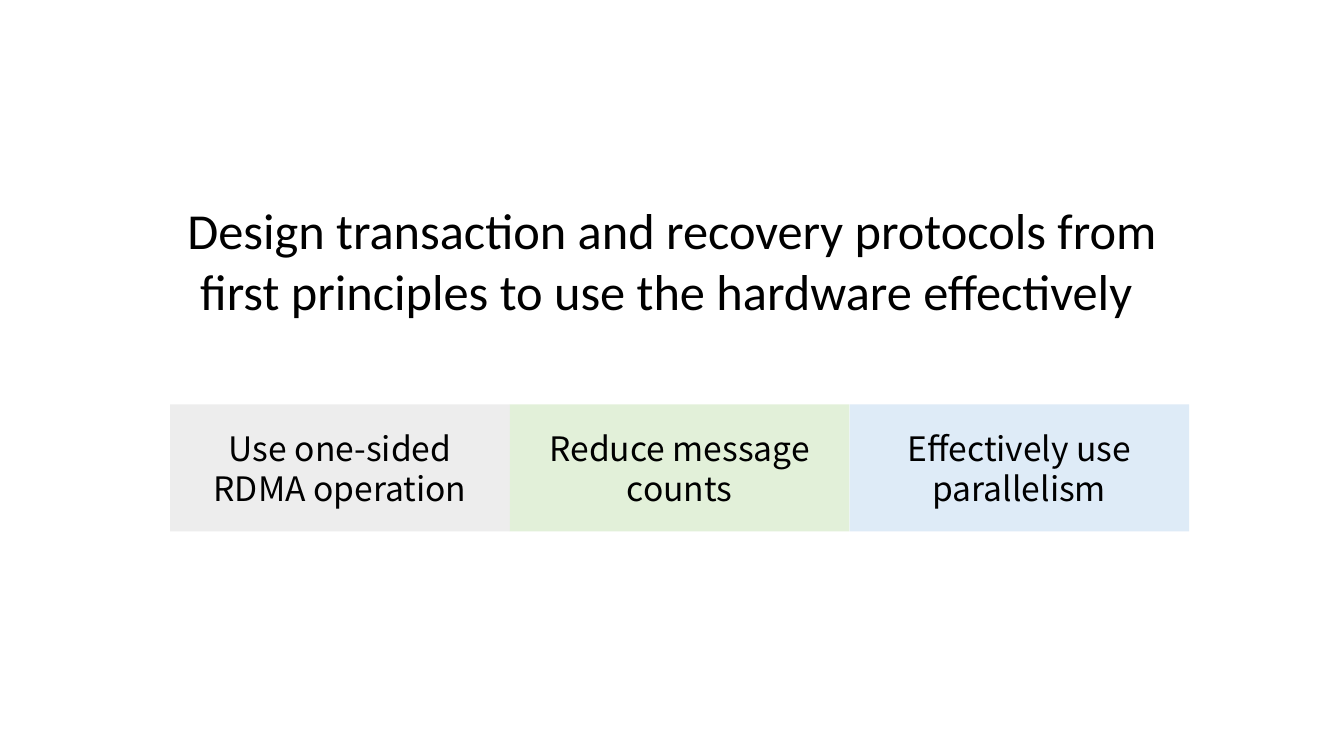
from dataclasses import dataclass

from pptx import Presentation
from pptx.dml.color import RGBColor
from pptx.enum.shapes import MSO_SHAPE as Shape
from pptx.enum.text import MSO_ANCHOR as Anchor, PP_ALIGN as Align
from pptx.util import Cm, Pt


@dataclass(frozen=True)
class Theme:
    ink: str = "000000"
    grey: str = "EDEDED"
    green: str = "E2F0D9"
    blue: str = "DEEBF7"
    title_font: str = "Calibri"
    card_font: str = "Noto Sans CJK SC"
    title_size: int = 36
    card_size: int = 24
    card_leading: float = 28.6


THEME = Theme()


def write(shape, text, font, size, leading=None):
    frame = shape.text_frame
    frame.word_wrap = True
    para = frame.paragraphs[0]
    para.text = text
    para.alignment = Align.CENTER
    para.font.name = font
    para.font.size = Pt(size)
    para.font.color.rgb = RGBColor.from_string(THEME.ink)
    if leading:
        para.line_spacing = Pt(leading)
    return frame


def add_title(page, text):
    box = page.shapes.add_textbox(Cm(3.35), Cm(4.9), Cm(27.18), Cm(3.33))
    write(box, text, THEME.title_font, THEME.title_size)


def add_card(page, left, text, color, width):
    card = page.shapes.add_shape(Shape.RECTANGLE, Cm(left), Cm(10.19), Cm(width), Cm(3.2))
    card.shadow.inherit = False
    card.fill.solid()
    card.fill.fore_color.rgb = RGBColor.from_string(color)
    card.line.fill.background()
    frame = write(card, text, THEME.card_font, THEME.card_size, THEME.card_leading)
    frame.vertical_anchor = Anchor.MIDDLE


def add_cards(page, cards, left=4.29, width=8.56):
    for index, (text, color) in enumerate(cards):
        add_card(page, left + index * width, text, color, width)


def main():
    deck = Presentation()
    deck.slide_width, deck.slide_height = Cm(33.87), Cm(19.05)
    page = deck.slides.add_slide(deck.slide_layouts[6])
    add_title(
        page,
        "Design transaction and recovery protocols from "
        "first principles to use the hardware effectively ",
    )
    add_cards(page, [
        ("Use one-sided RDMA operation", THEME.grey),
        ("Reduce message counts", THEME.green),
        ("Effectively use parallelism", THEME.blue),
    ])
    deck.save("out.pptx")


if __name__ == "__main__":
    main()
